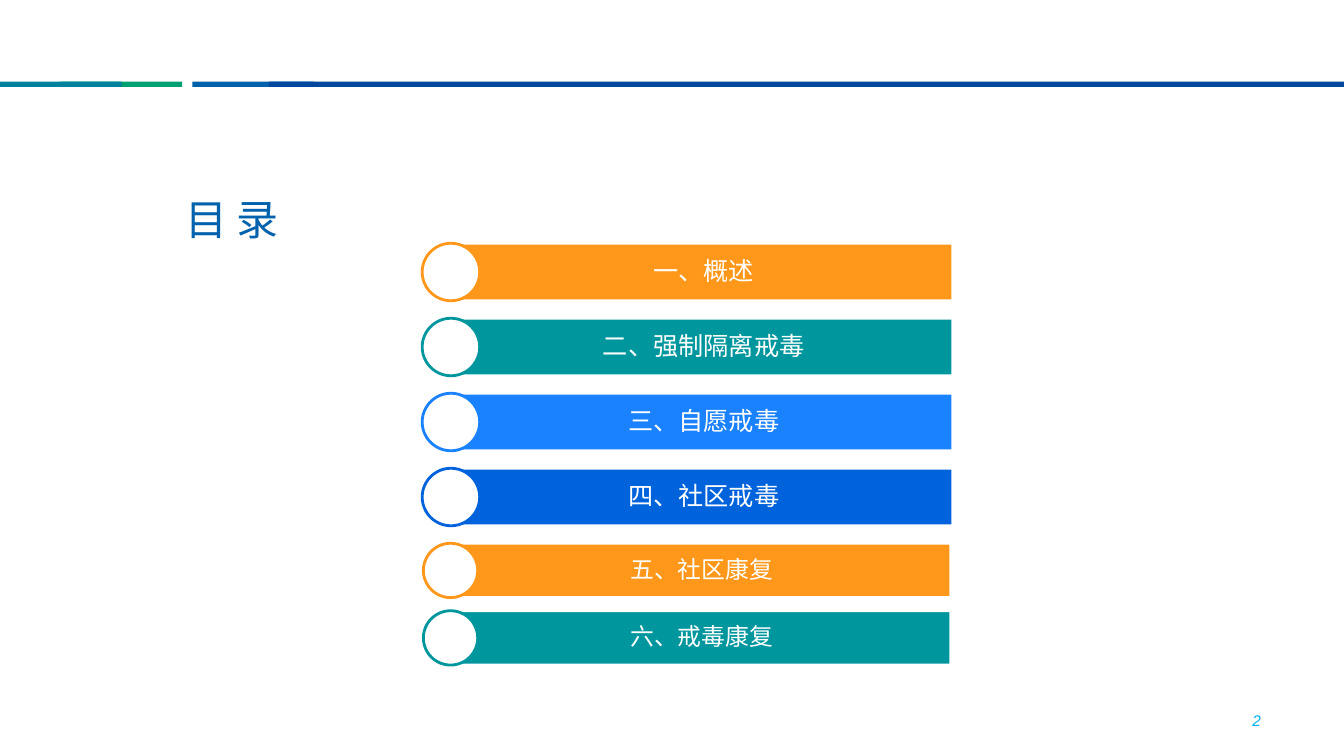
from lxml import etree
from pptx import Presentation
from pptx.dml.color import RGBColor
from pptx.enum.shapes import MSO_SHAPE
from pptx.enum.text import MSO_ANCHOR, PP_ALIGN
from pptx.oxml.ns import qn
from pptx.util import Cm, Pt

RECT, PLATE, OVAL = MSO_SHAPE.RECTANGLE, MSO_SHAPE.PENTAGON, MSO_SHAPE.OVAL
TOP, MID = MSO_ANCHOR.TOP, MSO_ANCHOR.MIDDLE
LEFT, CENTER, RIGHT = PP_ALIGN.LEFT, PP_ALIGN.CENTER, PP_ALIGN.RIGHT
HAN = "Noto Sans CJK SC"
HUES = {
    "white": "FFFFFF", "green": "00A073", "blue": "0062AD",
    "navy": "00479D", "sea": "00819C", "sky": "00B0F0",
    "orange": "FF981A", "teal": "00969E", "azure": "1A81FF", "royal": "0063DB",
}


def hue(name):
    """Return the named colour."""
    return RGBColor.from_string(HUES[name])


def draw(slide, kind, box, fill, line=None):
    """Add a filled shape, outlined if a line colour is given."""
    shape = slide.shapes.add_shape(kind, *map(Cm, box))
    shape.shadow.inherit = False
    shape.fill.solid()
    shape.fill.fore_color.rgb = hue(fill)
    if line:
        shape.line.color.rgb = hue(line)
        shape.line.width = Pt(2)
    else:
        shape.line.fill.background()
    return shape


def write(slide, text, box, size, color, face=HAN, align=LEFT, anchor=TOP,
          pads=(0.25, 0.13, 0.25, 0.13), space=1.0, slant=False):
    """Add a one-paragraph text box."""
    frame = slide.shapes.add_textbox(*map(Cm, box)).text_frame
    frame.word_wrap = True
    frame.vertical_anchor = anchor
    (frame.margin_left, frame.margin_top,
     frame.margin_right, frame.margin_bottom) = map(Cm, pads)
    para = frame.paragraphs[0]
    para.text = text
    para.alignment = align
    para.line_spacing = space
    font = para.font
    font.size = Pt(size)
    font.italic = slant
    font.color.rgb = hue(color)
    font.name = face
    props = para._p.pPr.find(qn("a:defRPr"))
    etree.SubElement(props, qn("a:ea")).set("typeface", face)


def band(slide, left, top, width, high):
    """Draw the coloured rule across the top of the slide."""
    short = 3.07
    for start, span, fill in (
        (1.52, short, "green"), (4.85, short, "blue"),
        (6.78, width - 6.78, "navy"), (0, short, "sea"),
    ):
        draw(slide, RECT, (left + start, top, span, high), fill)


def entry(slide, text, fill, left, top, width, high, dot, size):
    """Draw one contents bar with its round marker."""
    bar = draw(slide, PLATE, (left, top, width, high), fill, "white")
    bar.rotation = 180
    write(slide, text, (left + 0.35, top, width - 0.37, high), size, "white",
          align=CENTER, anchor=MID, pads=(0.63, 0.18, 0.35, 0.18), space=0.9)
    draw(slide, OVAL, (dot, top, high, high), "white", fill)


def menu(slide, items, left, top, width, high, step, dot, size):
    """Stack contents bars at an equal step."""
    for i, (text, fill) in enumerate(items):
        entry(slide, text, fill, left, top + i * step, width, high, dot, size)


def main():
    """Build and save the contents slide."""
    deck = Presentation()
    deck.slide_width, deck.slide_height = Cm(33.87), Cm(19.05)
    slide = deck.slides.add_slide(deck.slide_layouts[6])
    band(slide, 0, 2.06, 33.87, 0.13)
    write(slide, "目 录", (4.52, 4.42, 15.34, 1.83), 30, "blue",
          pads=(0.15, 0.08, 0.15, 0.08), space=1.3)
    write(slide, "2", (24.13, 17.65, 7.9, 1.02), 11, "sky", face="Arial",
          align=RIGHT, anchor=MID, slant=True)
    menu(slide, (("一、概述", "orange"), ("二、强制隔离戒毒", "teal"),
                 ("三、自愿戒毒", "azure"), ("四、社区戒毒", "royal")),
         10.85, 6.13, 13.16, 1.45, 1.89, 10.64, 18)
    menu(slide, (("五、社区康复", "orange"), ("六、戒毒康复", "teal")),
         10.8, 13.69, 13.16, 1.37, 1.7, 10.67, 17)
    deck.save("out.pptx")


if __name__ == "__main__":
    main()
